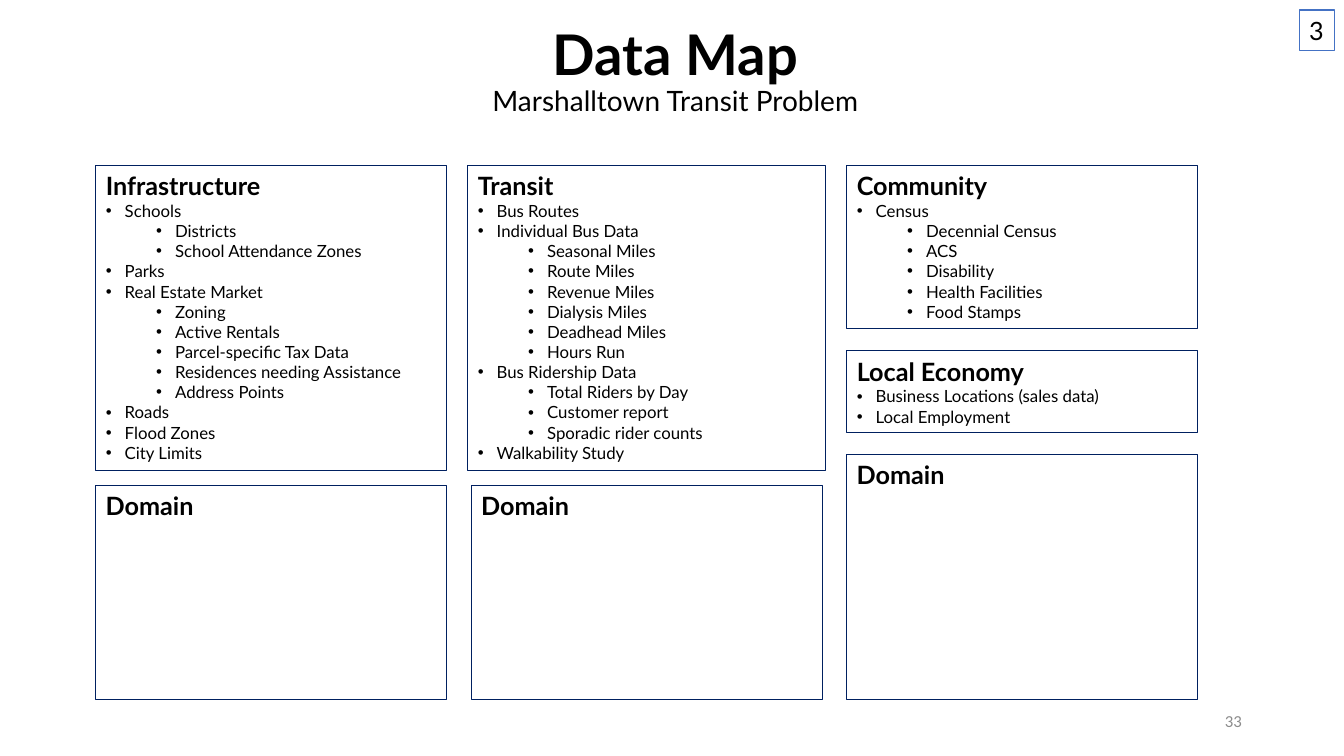
from lxml import etree
from pptx import Presentation
from pptx.dml.color import RGBColor
from pptx.enum.text import MSO_ANCHOR, MSO_AUTO_SIZE, PP_ALIGN
from pptx.oxml.ns import qn
from pptx.util import Pt

TOP, MIDDLE, BOTTOM = MSO_ANCHOR.TOP, MSO_ANCHOR.MIDDLE, MSO_ANCHOR.BOTTOM
LEFT, CENTER, RIGHT = PP_ALIGN.LEFT, PP_ALIGN.CENTER, PP_ALIGN.RIGHT
NO_FIT = MSO_AUTO_SIZE.NONE
COMPARISON_LAYOUT = 4

COLORS = {"text": "000000", "paper": "FFFFFF", "card": "002060",
          "badge": "4472C4", "page": "8C8C8C"}
TITLE = {"name": "Lato", "size": Pt(40), "bold": True}
SUBTITLE = {"name": "Lato", "size": Pt(20), "bold": False}
HEADING = {"name": "Lato", "size": Pt(18), "bold": True}
ITEM = {"name": "Lato", "size": Pt(12), "bold": False}
BADGE = {"name": "Lato", "size": Pt(18), "bold": False}
PAGE = {"name": "Calibri", "size": Pt(12), "bold": False}

CARD_WIDTH, CARD_TOP, CARD_BOTTOM = 250.6, 118.1, 499.6
COLUMNS = [68.4 + 268.2 * column for column in range(3)]
TRANSIT_EXTRA = 2.5  # the Transit card is this much wider on each side
LIST_HEIGHT, DOMAIN_TOP = 218.2, 347
COMMUNITY_HEIGHT = 116.6
ECONOMY_TOP, ECONOMY_HEIGHT = 250.6, 58.3
THIRD_DOMAIN_TOP = 324.7

# Each item is (level, text).
INFRASTRUCTURE = [
    (0, "Schools"), (1, "Districts"), (1, "School Attendance Zones"),
    (0, "Parks"),
    (0, "Real Estate Market"), (1, "Zoning"), (1, "Active Rentals"),
    (1, "Parcel-specific Tax Data"), (1, "Residences needing Assistance"),
    (1, "Address Points"),
    (0, "Roads"), (0, "Flood Zones"), (0, "City Limits")]
TRANSIT = [
    (0, "Bus Routes"),
    (0, "Individual Bus Data"), (1, "Seasonal Miles"), (1, "Route Miles"),
    (1, "Revenue Miles"), (1, "Dialysis Miles"), (1, "Deadhead Miles"),
    (1, "Hours Run"),
    (0, "Bus Ridership Data"), (1, "Total Riders by Day"),
    (1, "Customer report"), (1, "Sporadic rider counts"),
    (0, "Walkability Study")]
COMMUNITY = [
    (0, "Census"), (1, "Decennial Census"), (1, "ACS"), (1, "Disability"),
    (1, "Health Facilities"), (1, "Food Stamps")]
ECONOMY = [(0, "Business Locations (sales data)"), (0, "Local Employment")]


def place(shape, box, anchor=TOP, wrap=True):
    shape.left, shape.top, shape.width, shape.height = map(Pt, box)
    frame = shape.text_frame
    settings = {"word_wrap": wrap, "auto_size": NO_FIT, "vertical_anchor": anchor}
    for name, value in settings.items():
        setattr(frame, name, value)
    return frame


def outline(shape, color, width):
    shape.line.color.rgb = RGBColor.from_string(COLORS[color])
    shape.line.width = Pt(width)


def write(paragraph, text, style, color="text", align=LEFT, spacing=1.0):
    settings = {"alignment": align, "line_spacing": spacing,
                "space_before": Pt(0), "space_after": Pt(0)}
    for name, value in settings.items():
        setattr(paragraph, name, value)
    run = paragraph.add_run()
    run.text = text
    for name, value in style.items():
        setattr(run.font, name, value)
    run.font.color.rgb = RGBColor.from_string(COLORS[color])


def set_bullet(paragraph, level):
    """Bullet the paragraph at the level, or remove its bullet if level is None."""
    properties = paragraph._p.get_or_add_pPr()
    if level is None:
        properties.set("marL", "0")
        properties.set("indent", "0")
        etree.SubElement(properties, qn("a:buNone"))
        return
    paragraph.level = level
    properties.set("marL", str(Pt(13.5 + 36 * level)))
    properties.set("indent", str(Pt(-13.5)))
    etree.SubElement(properties, qn("a:buFont")).set("typeface", "Arial")
    etree.SubElement(properties, qn("a:buChar")).set("char", "•")


def fill_card(shape, box, heading, items=()):
    frame = place(shape, box)
    outline(shape, "card", 0.75)
    set_bullet(frame.paragraphs[0], None)
    write(frame.paragraphs[0], heading, HEADING)
    for level, text in items:
        paragraph = frame.add_paragraph()
        set_bullet(paragraph, level)
        write(paragraph, text, ITEM)


def add_text_box(slide):
    return slide.shapes.add_textbox(0, 0, 0, 0)


def fill_title(slide, box):
    frame = place(slide.shapes.title, box, BOTTOM)
    write(frame.paragraphs[0], "Data Map", TITLE, align=CENTER, spacing=0.9)
    write(frame.add_paragraph(), "Marshalltown Transit Problem", SUBTITLE,
          align=CENTER, spacing=0.9)


def add_badge(slide, box):
    badge = add_text_box(slide)
    frame = place(badge, box, wrap=False)
    badge.fill.solid()
    badge.fill.fore_color.rgb = RGBColor.from_string(COLORS["paper"])
    outline(badge, "badge", 1)
    write(frame.paragraphs[0], "3", BADGE)


def add_page_number(slide, box):
    frame = place(add_text_box(slide), box, MIDDLE)
    write(frame.paragraphs[0], "33", PAGE, "page", RIGHT)


def fill_lists(slide):
    first, second, third = COLUMNS
    lists = [
        ("Infrastructure", INFRASTRUCTURE,
         (first, CARD_TOP, CARD_WIDTH, LIST_HEIGHT)),
        ("Transit", TRANSIT,
         (second - TRANSIT_EXTRA, CARD_TOP,
          CARD_WIDTH + 2 * TRANSIT_EXTRA, LIST_HEIGHT)),
        ("Community", COMMUNITY,
         (third, CARD_TOP, CARD_WIDTH, COMMUNITY_HEIGHT)),
        ("Local Economy", ECONOMY,
         (third, ECONOMY_TOP, CARD_WIDTH, ECONOMY_HEIGHT))]
    bodies = list(slide.placeholders)[1:]
    for body, (heading, items, box) in zip(bodies, lists):
        fill_card(body, box, heading, items)


def add_domains(slide):
    tops = (DOMAIN_TOP, DOMAIN_TOP, THIRD_DOMAIN_TOP)
    for left, top in zip(COLUMNS, tops):
        box = (left, top, CARD_WIDTH, CARD_BOTTOM - top)
        fill_card(add_text_box(slide), box, "Domain")


def main():
    presentation = Presentation()
    presentation.slide_width, presentation.slide_height = Pt(960), Pt(540)
    layout = presentation.slide_layouts[COMPARISON_LAYOUT]
    slide = presentation.slides.add_slide(layout)
    add_badge(slide, (928.1, 7.2, 25.2, 28.8))
    fill_title(slide, (50.4, 14.4, 864, 73.4))
    fill_lists(slide)
    add_domains(slide)
    add_page_number(slide, (678.2, 500.4, 216, 28.8))
    presentation.save("out.pptx")


if __name__ == "__main__":
    main()
